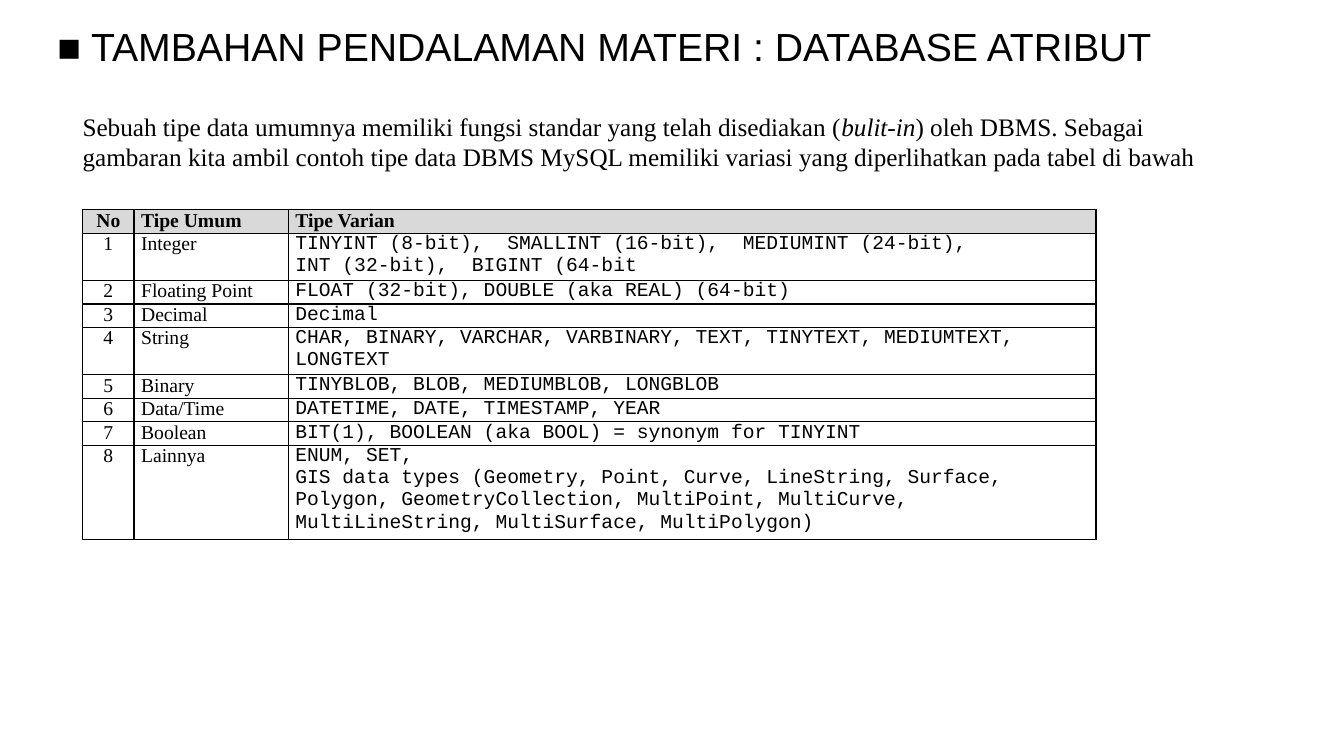
from dataclasses import dataclass

from lxml import etree
from pptx import Presentation
from pptx.dml.color import RGBColor
from pptx.enum.text import MSO_ANCHOR, PP_ALIGN
from pptx.oxml.ns import qn
from pptx.util import Inches, Pt

LEFT, CENTER, JUSTIFY = PP_ALIGN.LEFT, PP_ALIGN.CENTER, PP_ALIGN.JUSTIFY
TOP, BOTTOM = MSO_ANCHOR.TOP, MSO_ANCHOR.BOTTOM


@dataclass(frozen=True)
class Theme:
    ink: str = "000000"
    header_fill: str = "D9D9D9"
    heading_font: str = "Arial"
    body_font: str = "Times New Roman"
    code_font: str = "Courier New"
    heading_size: int = 28
    body_size: int = 18
    table_size: int = 14
    border_width: int = 1


THEME = Theme()

TITLE = "■ TAMBAHAN PENDALAMAN MATERI : DATABASE ATRIBUT"
INTRO = [
    ("Sebuah tipe data umumnya memiliki fungsi standar yang telah disediakan (", False),
    ("bulit-in", True),
    (") oleh DBMS. Sebagai gambaran kita ambil contoh tipe data DBMS MySQL "
     "memiliki variasi yang diperlihatkan pada tabel di bawah", False),
]
HEADERS = ["No", "Tipe Umum", "Tipe Varian"]
# General type, its variants, and the number of text lines they fill
DATA_TYPES = [
    ("Integer", "TINYINT (8-bit),  SMALLINT (16-bit),  MEDIUMINT (24-bit),\n"
                "INT (32-bit),  BIGINT (64-bit", 2),
    ("Floating Point", "FLOAT (32-bit), DOUBLE (aka REAL) (64-bit)", 1),
    ("Decimal", "Decimal", 1),
    ("String", "CHAR, BINARY, VARCHAR, VARBINARY, TEXT, TINYTEXT, MEDIUMTEXT, LONGTEXT", 2),
    ("Binary", "TINYBLOB, BLOB, MEDIUMBLOB, LONGBLOB", 1),
    ("Data/Time", "DATETIME, DATE, TIMESTAMP, YEAR", 1),
    ("Boolean", "BIT(1), BOOLEAN (aka BOOL) = synonym for TINYINT", 1),
    ("Lainnya", "ENUM, SET,\nGIS data types (Geometry, Point, Curve, LineString, Surface, "
                "Polygon, GeometryCollection, MultiPoint, MultiCurve, "
                "MultiLineString, MultiSurface, MultiPolygon)", 4),
]
COLUMN_WIDTHS = [0.51, 1.53, 8.01]
LINE_HEIGHT = 0.23


def write(frame, content, *, font, size, color, bold=False, align=LEFT, spacing=None):
    """Fill a frame with a string, one paragraph a line, or with (text, italic) runs."""
    lines = [[(line, False)] for line in content.split("\n")] if isinstance(content, str) else [content]
    for index, line in enumerate(lines):
        paragraph = frame.add_paragraph() if index else frame.paragraphs[0]
        paragraph.alignment = align
        if spacing:
            paragraph.line_spacing = spacing
        for text, italic in line:
            run = paragraph.add_run()
            run.text = text
            run.font.name, run.font.size = font, Pt(size)
            run.font.bold, run.font.italic = bold, italic
            run.font.color.rgb = RGBColor.from_string(color)


class SlideBuilder:
    def __init__(self, slide, theme):
        self.slide = slide
        self.theme = theme

    def text(self, content, left, top, width, height, *, anchor=TOP, bottom_inset=0.05, **style):
        box = self.slide.shapes.add_textbox(Inches(left), Inches(top), Inches(width), Inches(height))
        frame = box.text_frame
        frame.word_wrap = True
        frame.vertical_anchor = anchor
        frame.margin_bottom = Inches(bottom_inset)
        write(frame, content, color=self.theme.ink, **style)

    def border(self, cell):
        properties = cell._tc.get_or_add_tcPr()
        for position, side in enumerate(("lnL", "lnR", "lnT", "lnB")):
            line = etree.Element(qn(f"a:{side}"), w=str(Pt(self.theme.border_width)))
            fill = etree.SubElement(line, qn("a:solidFill"))
            etree.SubElement(fill, qn("a:srgbClr"), val=self.theme.ink)
            properties.insert(position, line)

    def cell(self, cell, content, *, fill=None, **style):
        cell.margin_left = cell.margin_right = Inches(0.07)
        cell.margin_top = cell.margin_bottom = 0
        if fill:
            cell.fill.solid()
            cell.fill.fore_color.rgb = RGBColor.from_string(fill)
        else:
            cell.fill.background()
        self.border(cell)
        write(cell.text_frame, content, size=self.theme.table_size, color=self.theme.ink, **style)

    def type_table(self, left, top):
        theme = self.theme
        line_counts = [1] + [lines for _, _, lines in DATA_TYPES]
        table = self.slide.shapes.add_table(
            len(line_counts), len(HEADERS), Inches(left), Inches(top),
            Inches(sum(COLUMN_WIDTHS)), Inches(LINE_HEIGHT * sum(line_counts))).table
        table.first_row = table.horz_banding = False
        for column, width in zip(table.columns, COLUMN_WIDTHS):
            column.width = Inches(width)
        for row, lines in zip(table.rows, line_counts):
            row.height = Inches(LINE_HEIGHT * lines)

        for column, (header, align) in enumerate(zip(HEADERS, (CENTER, JUSTIFY, JUSTIFY))):
            self.cell(table.cell(0, column), header, fill=theme.header_fill,
                      font=theme.body_font, bold=True, align=align)
        for number, (general, variants, _) in enumerate(DATA_TYPES, 1):
            self.cell(table.cell(number, 0), str(number), font=theme.body_font, align=CENTER)
            self.cell(table.cell(number, 1), general, font=theme.body_font, align=JUSTIFY)
            self.cell(table.cell(number, 2), variants, font=theme.code_font)


def main():
    presentation = Presentation()
    presentation.slide_width, presentation.slide_height = Inches(13.33), Inches(7.5)
    slide = presentation.slides.add_slide(presentation.slide_layouts[6])
    builder = SlideBuilder(slide, THEME)
    builder.text(TITLE, 0.47, 0.15, 12.3, 0.54, anchor=BOTTOM, bottom_inset=0,
                 font=THEME.heading_font, size=THEME.heading_size, spacing=0.9)
    builder.text(INTRO, 0.72, 1.05, 11.38, 0.71, font=THEME.body_font, size=THEME.body_size)
    builder.type_table(0.82, 2.08)
    presentation.save("out.pptx")


if __name__ == "__main__":
    main()
